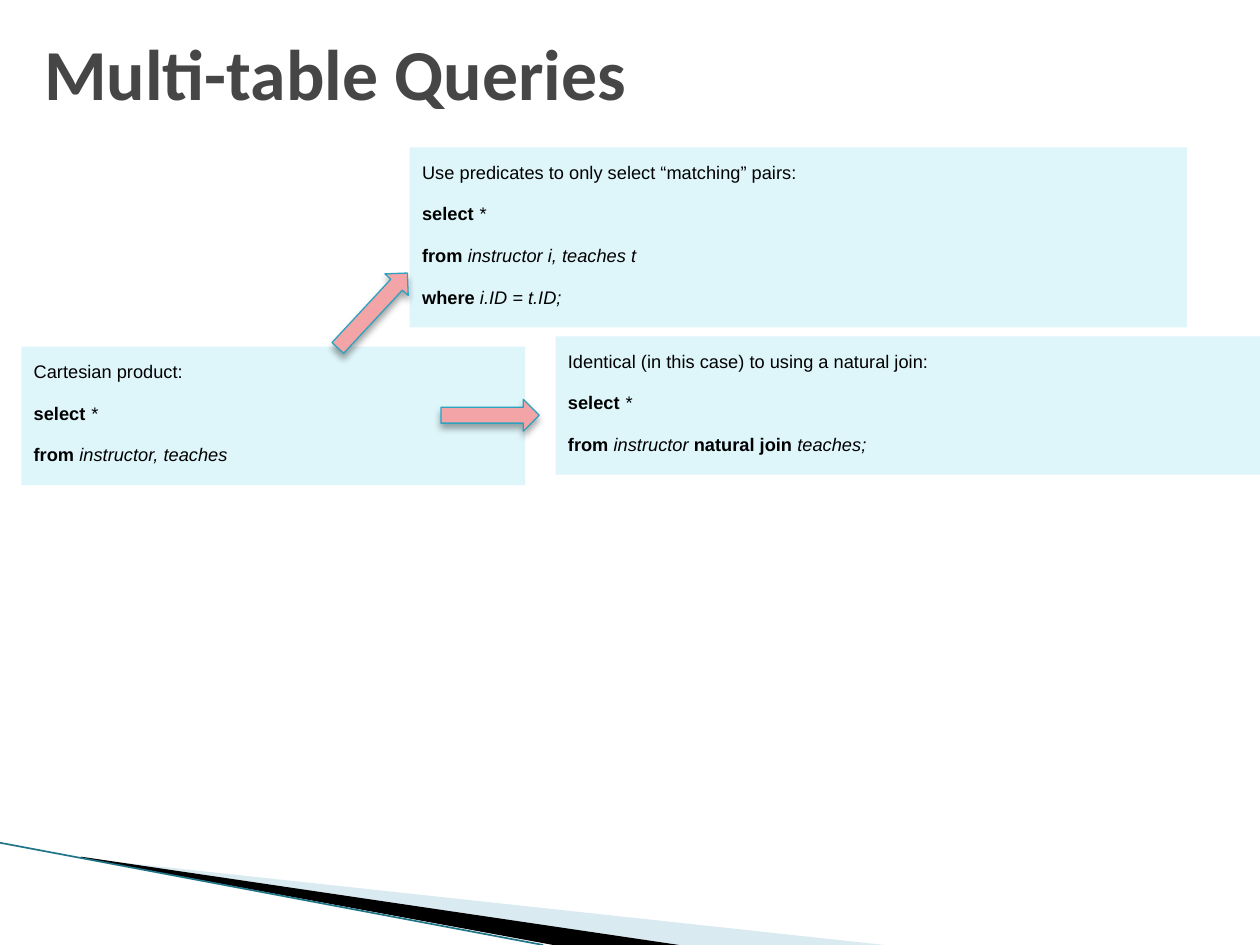
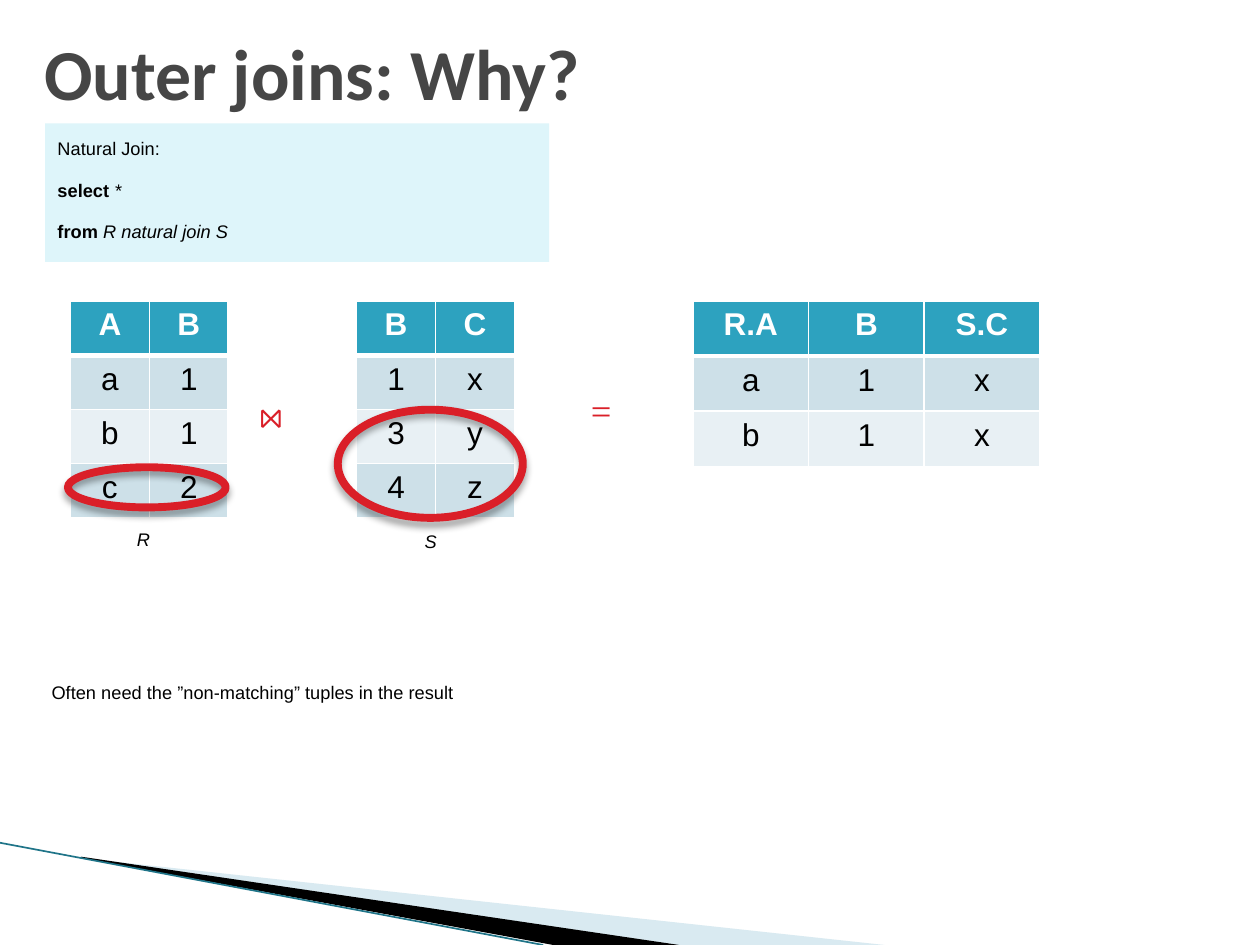
import pptx
import pptx.util
import pptx.dml.color
import pptx.enum.shapes
import pptx.enum.text
import pptx.oxml
import pptx.oxml.ns

Cm = pptx.util.Cm
Pt = pptx.util.Pt
RGBColor = pptx.dml.color.RGBColor
KIND = pptx.enum.shapes.MSO_SHAPE
qn = pptx.oxml.ns.qn
NS = pptx.oxml.ns.nsdecls("a")

BLACK = RGBColor(0x00, 0x00, 0x00)
WHITE = RGBColor(0xFF, 0xFF, 0xFF)
GREY = RGBColor(0x46, 0x46, 0x46)
PALE = RGBColor(0xDE, 0xF5, 0xFA)
MIST = RGBColor(0xA0, 0xCB, 0xDC)
DEEP = RGBColor(0x1F, 0x74, 0x88)
TEAL = RGBColor(0x2D, 0xA2, 0xBF)
PINK = RGBColor(0xF2, 0xA4, 0xA7)
RED = RGBColor(0xDA, 0x1F, 0x28)
BANDS = [RGBColor(0xCD, 0xE0, 0xE8), RGBColor(0xE8, 0xF0, 0xF4)]

BODY = {"name": "Arial", "size": Pt(18), "bold": False, "italic": False}
PLAIN = {}
BOLD = {"bold": True}
SLANT = {"italic": True}
HEAD = {"name": "Calibri", "size": Pt(41), "bold": True}
SIGN = {"name": "Times New Roman", "size": Pt(36)}


def write(para, text, form, color=BLACK, lift=True):
    run = para.add_run()
    run.text = text.rstrip("\n")
    for key, value in {**BODY, **form}.items():
        setattr(run.font, key, value)
    run.font.color.rgb = color
    if lift:
        run._r.get_or_add_rPr().set("baseline", "30000")
    if text.endswith("\n"):
        para.add_line_break()


def shade(shape):
    shape.shadow.inherit = False
    glow = shape._element.spPr.find(qn("a:effectLst"))
    glow.append(pptx.oxml.parse_xml(
        f'<a:outerShdw {NS} blurRad="50800" dist="38100" dir="5400000" rotWithShape="0">'
        '<a:srgbClr val="000000"><a:alpha val="35000"/></a:srgbClr></a:outerShdw>'))


deck = pptx.Presentation()
deck.slide_width, deck.slide_height = Cm(25.4), Cm(19.05)

wedges = [
    (MIST, [(1.65, 17.3), (17.83, 19.05), (13.67, 19.05), (1.68, 17.3)]),
    (BLACK, [(1.63, 17.27), (13.69, 19.05), (11.15, 19.05), (1.65, 17.3)]),
]
pages = []
for title, width in [("Multi-table Queries", 23.5), ("Outer joins: Why?", 11.63)]:
    page = deck.slides.add_slide(deck.slide_layouts[6])
    pages.append(page)
    for color, spots in wedges:
        spots = [(Cm(x), Cm(y)) for x, y in spots]
        form = page.shapes.build_freeform(*spots[0])
        form.add_line_segments(spots[1:])
        wedge = form.convert_to_shape()
        wedge.shadow.inherit = False
        wedge.fill.solid()
        wedge.fill.fore_color.rgb = color
        wedge.line.fill.background()
        if color == MIST:
            tint = wedge._element.spPr.find(".//" + qn("a:srgbClr"))
            tint.append(pptx.oxml.parse_xml(f'<a:alpha {NS} val="40000"/>'))
    edge = page.shapes.add_connector(
        pptx.enum.shapes.MSO_CONNECTOR.STRAIGHT, 0, Cm(16.99), Cm(10.95), Cm(19.05))
    edge.line.color.rgb = DEEP
    edge.line.width = Pt(0.95)
    edge._element.spPr.append(pptx.oxml.parse_xml(f"<a:effectLst {NS}/>"))
    frame = page.shapes.add_textbox(Cm(0.64), Cm(0.43), Cm(width), Cm(2.03)).text_frame
    frame.word_wrap = True
    frame.vertical_anchor = pptx.enum.text.MSO_ANCHOR.MIDDLE
    write(frame.paragraphs[0], title, HEAD, GREY, False)

first, second = pages

star = [("select ", BOLD), ("*\n", SLANT), ("from ", BOLD)]
panels = [
    (first, 0.43, 6.99, 10.16, 2.79, [
        [("Cartesian product:", PLAIN)],
        star + [("instructor, teaches", SLANT)]]),
    (first, 8.26, 2.97, 15.67, 3.63, [
        [("Use predicates to only select “matching” pairs:\n", PLAIN)]
        + star + [("instructor i, teaches t", SLANT)],
        [("where ", BOLD), ("i.ID = t.ID;", SLANT)]]),
    (first, 11.2, 6.78, 14.2, 2.79, [
        [("Identical (in this case) to using a natural join:", PLAIN)],
        star + [("instructor ", SLANT), ("natural join", BOLD), (" teaches;", SLANT)]]),
    (second, 0.91, 2.49, 10.16, 2.79, [
        [("Natural Join:", PLAIN)],
        star + [("R natural join S", SLANT)]]),
]
for page, left, top, width, height, paras in panels:
    panel = page.shapes.add_shape(KIND.RECTANGLE, Cm(left), Cm(top), Cm(width), Cm(height))
    panel.shadow.inherit = False
    panel.fill.solid()
    panel.fill.fore_color.rgb = PALE
    panel.line.fill.background()
    frame = panel.text_frame
    frame.word_wrap = True
    frame.vertical_anchor = pptx.enum.text.MSO_ANCHOR.TOP
    for n, runs in enumerate(paras):
        para = frame.add_paragraph() if n else frame.paragraphs[0]
        para.alignment = pptx.enum.text.PP_ALIGN.LEFT
        para.line_spacing = 1.1
        for text, form in runs:
            write(para, text, form)

for left, top, width, turn in [(6.48, 5.94, 2.06, 132.9), (8.89, 8.05, 1.98, 180)]:
    arrow = first.shapes.add_shape(KIND.LEFT_ARROW, Cm(left), Cm(top), Cm(width), Cm(0.64))
    arrow.rotation = turn
    arrow.fill.solid()
    arrow.fill.fore_color.rgb = PINK
    arrow.line.color.rgb = TEAL
    arrow.line.width = Pt(0.75)
    shade(arrow)

tables = [
    (13.97, 2.33, 1.11, [["R.A", "B", "S.C"], ["a", "1", "x"], ["b", "1", "x"]]),
    (1.42, 1.59, 1.09, ["AB", "a1", "b1", "c2"]),
    (7.19, 1.59, 1.09, ["BC", "1x", "3y", "4z"]),
]
for left, wide, high, rows in tables:
    count = len(rows[0])
    grid = second.shapes.add_table(
        len(rows), count, Cm(left), Cm(6.07), Cm(wide * count), Cm(high * len(rows))).table
    for col in grid.columns:
        col.width = Cm(wide)
    for r, row in enumerate(rows):
        grid.rows[r].height = Cm(high)
        for c, text in enumerate(row):
            cell = grid.cell(r, c)
            for side in "LRTB":
                thick = 3 if (r, side) in [(0, "B"), (1, "T")] else 1
                cell._tc.get_or_add_tcPr().append(pptx.oxml.parse_xml(
                    f'<a:ln{side} {NS} w="{Pt(thick)}"><a:solidFill>'
                    f'<a:srgbClr val="{WHITE}"/></a:solidFill></a:ln{side}>'))
            cell.fill.solid()
            cell.fill.fore_color.rgb = BANDS[(r - 1) % 2] if r else TEAL
            para = cell.text_frame.paragraphs[0]
            para.alignment = pptx.enum.text.PP_ALIGN.CENTER
            write(para, text, PLAIN if r else BOLD, BLACK if r else WHITE, False)

labels = [
    ("R", 2.51, 10.44, 0.97, 1.02, SLANT, BLACK),
    ("S", 8.31, 10.49, 0.97, 1.02, SLANT, BLACK),
    ("⋈", 4.98, 7.62, 1.57, 1.8, SIGN, RED),
    ("=", 11.66, 7.54, 1.24, 1.8, SIGN, RED),
    ("Often need the ”non-matching” tuples in the result",
     0.79, 13.54, 14.63, 1.02, PLAIN, BLACK),
]
for text, left, top, width, height, form, color in labels:
    frame = second.shapes.add_textbox(Cm(left), Cm(top), Cm(width), Cm(height)).text_frame
    frame.word_wrap = True
    write(frame.paragraphs[0], text, form, color)

for left, top, width, height in [(1.37, 9.42, 3.18, 0.81), (6.81, 8.26, 3.73, 2.18)]:
    ring = second.shapes.add_shape(KIND.OVAL, Cm(left), Cm(top), Cm(width), Cm(height))
    ring.fill.background()
    ring.line.color.rgb = RED
    ring.line.width = Pt(4.5)
    shade(ring)

deck.save("out.pptx")
